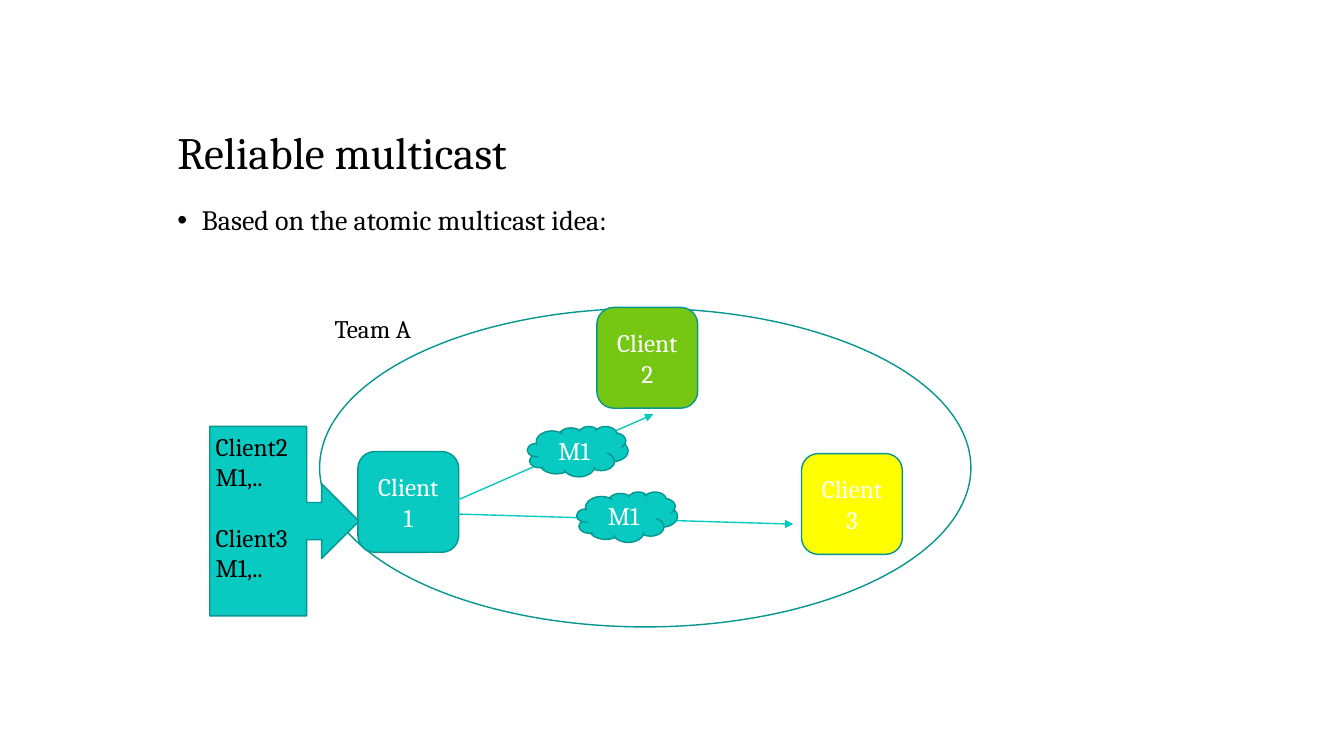
from lxml.etree import SubElement
from pptx import Presentation
from pptx.dml.color import RGBColor
from pptx.enum.shapes import MSO_CONNECTOR, MSO_SHAPE
from pptx.enum.text import MSO_ANCHOR, PP_ALIGN
from pptx.oxml.ns import qn
from pptx.util import Inches, Pt

FONT = "Cambria"
BLACK, WHITE = "000000", "FFFFFF"
TEAL, DARK_TEAL, GREEN, YELLOW = "08CAC1", "06958F", "76C714", "FFFF00"


def rgb(value):
    return RGBColor.from_string(value)


def write(frame, lines, size=18, color=BLACK, **formats):
    """Put one paragraph per line in the frame, each with the given formats."""
    frame.word_wrap = True
    for number, line in enumerate(lines):
        paragraph = frame.paragraphs[0] if number == 0 else frame.add_paragraph()
        for name, value in formats.items():
            setattr(paragraph, name, value)
        run = paragraph.add_run()
        run.text = line
        run.font.name, run.font.size = FONT, Pt(size)
        run.font.color.rgb = rgb(color)
    return frame.paragraphs


def place(shape, box):
    for name, length in zip(("left", "top", "width", "height"), box):
        setattr(shape, name, Inches(length))


def add_figure(slide, kind, box, fill, label=None):
    figure = slide.shapes.add_shape(kind, *map(Inches, box))
    figure.shadow.inherit = False
    figure.fill.solid()
    figure.fill.fore_color.rgb = rgb(fill)
    figure.line.color.rgb = rgb(DARK_TEAL)
    figure.line.width = Pt(1)
    if label:
        figure.text_frame.vertical_anchor = MSO_ANCHOR.MIDDLE
        write(figure.text_frame, [label], color=WHITE, alignment=PP_ALIGN.CENTER)


def add_note(slide, box, lines):
    note = slide.shapes.add_textbox(*map(Inches, box))
    return write(note.text_frame, lines)


def add_arrow(slide, start, end):
    arrow = slide.shapes.add_connector(
        MSO_CONNECTOR.STRAIGHT, *map(Inches, start + end))
    arrow.line.color.rgb = rgb(TEAL)
    arrow.line.width = Pt(1)
    SubElement(arrow.line._get_or_add_ln(), qn("a:tailEnd"), type="triangle")
    SubElement(arrow._element.spPr, qn("a:effectLst"))


def fill_heading(slide, box):
    title = slide.shapes.title
    place(title, box)
    title.text_frame.vertical_anchor = MSO_ANCHOR.BOTTOM
    write(title.text_frame, ["Reliable multicast"], 32,
          alignment=PP_ALIGN.LEFT, line_spacing=0.9)


def fill_body(slide, box):
    body = slide.placeholders[1]
    place(body, box)
    idea = write(body.text_frame, ["Based on the atomic multicast idea:"], 20,
                 line_spacing=0.9, space_before=Pt(18))[0]
    properties = idea._p.get_or_add_pPr()
    properties.set("marL", str(Inches(0.24)))
    properties.set("indent", str(-Inches(0.24)))
    SubElement(properties, qn("a:buChar"), char="•")


def draw_team(slide, box):
    """Draw the team's ellipse with its clients and the messages between them."""
    left, top, _, _ = box
    add_figure(slide, MSO_SHAPE.OVAL, box, WHITE)
    clients = (("Client 3", 4.78, 1.44, YELLOW),
               ("Client 2", 2.75, -0.01, GREEN),
               ("Client 1", 0.38, 1.42, TEAL))
    for client, x, y, fill in clients:
        add_figure(slide, MSO_SHAPE.ROUNDED_RECTANGLE,
                   (left + x, top + y, 1, 1), fill, client)
    add_note(slide, (left + 0.05, top, 3, 0.4), ["Team A"])
    for x1, y1, x2, y2 in ((1.28, 1.94, 3.31, 1.05), (1.38, 2.04, 4.7, 2.14)):
        add_arrow(slide, (left + x1, top + y1), (left + x2, top + y2))
    for x, y in ((2.06, 1.17), (2.55, 1.82)):
        add_figure(slide, MSO_SHAPE.CLOUD, (left + x, top + y, 1, 0.5), TEAL, "M1")


def draw_pending_list(slide, box):
    """Draw the callout that lists the messages client 1 has to deliver."""
    left, top, _, _ = box
    add_figure(slide, MSO_SHAPE.RIGHT_ARROW_CALLOUT, box, TEAL)
    entries = add_note(slide, (left - 0.04, top, 1.08, 1.62),
                       ["Client2", "M1,..", "Client3", "M1,.."])
    entries[2].space_before = Pt(21.6)


def main():
    presentation = Presentation()
    presentation.slide_width = Inches(13.33)
    presentation.slide_height = Inches(7.5)
    slide = presentation.slides.add_slide(presentation.slide_layouts[1])
    fill_heading(slide, (1.66, 0.58, 10.5, 1.25))
    fill_body(slide, (1.66, 2, 10.5, 4.58))
    draw_team(slide, (3.17, 3.06, 6.46, 3.16))
    draw_pending_list(slide, (2.08, 4.23, 1.48, 1.88))
    presentation.save("out.pptx")


if __name__ == "__main__":
    main()
